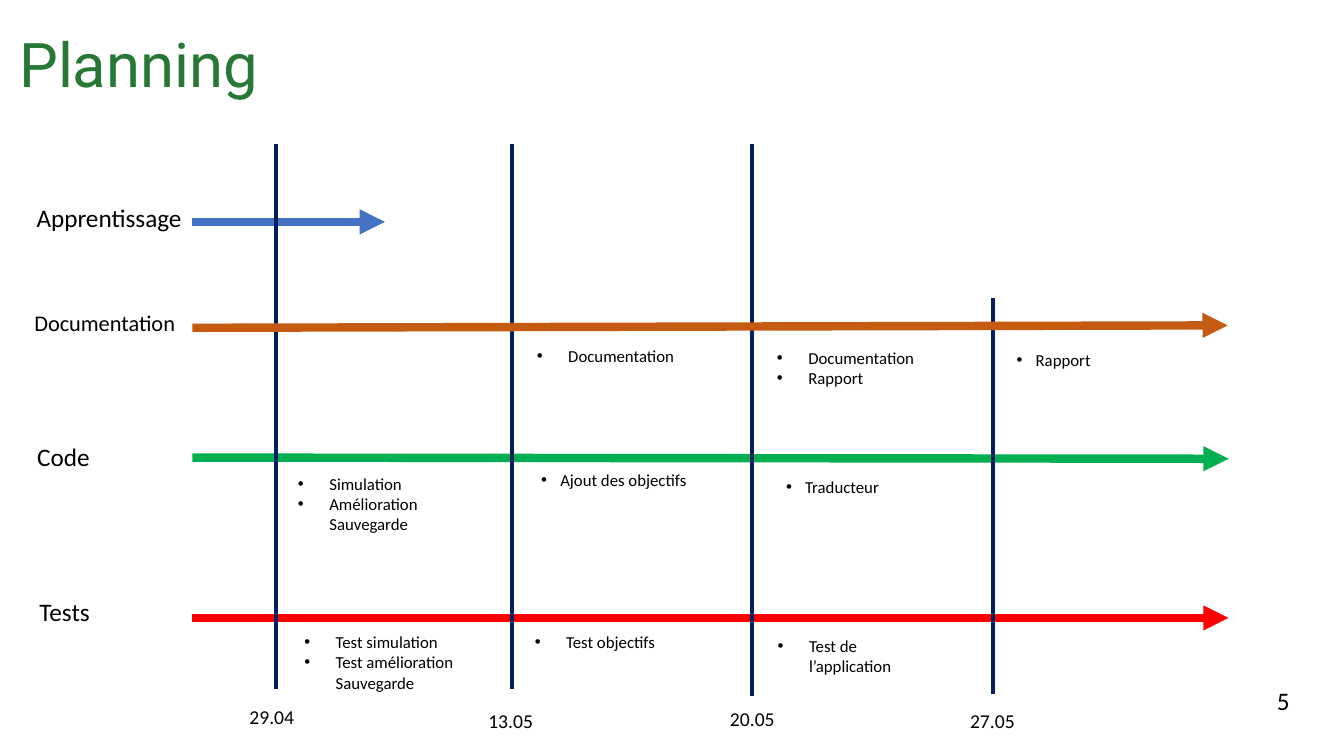
"""Build the project planning timeline slide."""
from lxml import etree
from pptx import Presentation
from pptx import util as u
from pptx.dml.color import RGBColor
from pptx.enum import shapes, text
from pptx.oxml import ns

BLACK = RGBColor(0, 0, 0)
TITLE_GREEN = RGBColor(0x26, 0x78, 0x34)
NAVY = RGBColor(0x00, 0x20, 0x60)
BLUE = RGBColor(0x44, 0x72, 0xC4)
ORANGE = RGBColor(0xC5, 0x5A, 0x11)
GREEN = RGBColor(0x00, 0xB0, 0x50)
RED = RGBColor(0xFF, 0, 0)
CENTER = text.PP_ALIGN.CENTER
LEFT = text.PP_ALIGN.LEFT


def write(p, content, size=12, font="Calibri", color=BLACK, align=LEFT, indent=0):
    """Fill a paragraph, with a bullet when an indent in cm is given."""
    if indent:
        pPr = p._p.get_or_add_pPr()
        pPr.set("marL", str(u.Cm(indent)))
        pPr.set("indent", str(-u.Cm(indent)))
        etree.SubElement(pPr, ns.qn("a:buFont"), typeface="Arial")
        etree.SubElement(pPr, ns.qn("a:buChar"), char="•")
    p.alignment = align
    r = p.add_run()
    r.text = content
    r.font.size = u.Pt(size)
    r.font.name = font
    r.font.color.rgb = color


class Timeline:
    """Hold the slide and draw the timeline's elements on it."""

    def __init__(self, prs):
        self.s = prs.slides.add_slide(prs.slide_layouts[5])

    def title(self, content):
        """Place and format the title placeholder."""
        sp = self.s.shapes.title
        sp.left, sp.top = u.Cm(0.23), u.Cm(-0.15)
        sp.width, sp.height = u.Cm(29.21), u.Cm(3.68)
        tf = sp.text_frame
        tf.auto_size = text.MSO_AUTO_SIZE.NONE
        tf.vertical_anchor = text.MSO_ANCHOR.MIDDLE
        p = tf.paragraphs[0]
        p.line_spacing = 0.9
        write(p, content, size=44, font="Roboto", color=TITLE_GREEN)

    def textbox(self, x, y, w, h, *lines, wrap=True, **style):
        """Add a text box with one paragraph per line."""
        sp = self.s.shapes.add_textbox(u.Cm(x), u.Cm(y), u.Cm(w), u.Cm(h))
        tf = sp.text_frame
        tf.word_wrap = wrap
        tf.auto_size = text.MSO_AUTO_SIZE.SHAPE_TO_FIT_TEXT
        for i, line in enumerate(lines):
            p = tf.add_paragraph() if i else tf.paragraphs[0]
            write(p, line, **style)

    def line(self, x1, y1, x2, y2, color, width, arrow=False):
        """Add a straight line, with an arrowhead at its end if asked."""
        c = self.s.shapes.add_connector(
            shapes.MSO_CONNECTOR.STRAIGHT, u.Cm(x1), u.Cm(y1), u.Cm(x2), u.Cm(y2))
        c.line.color.rgb = color
        c.line.width = u.Pt(width)
        if arrow:
            etree.SubElement(c.line._get_or_add_ln(), ns.qn("a:tailEnd"), type="triangle")
        etree.SubElement(c._element.spPr, ns.qn("a:effectLst"))

    def track(self, name, x, y, size, start_y, end_x, end_y, color):
        """Add a named activity with its arrow."""
        self.textbox(x, y, 4.22, 1, name, size=size, align=CENTER)
        self.line(4.85, start_y, end_x, end_y, color, 6, arrow=True)

    def milestone(self, date, x, top, bottom, label_x, label_y):
        """Add a vertical date line with its date below."""
        self.line(x, top, x, bottom, NAVY, 3)
        self.textbox(label_x, label_y, 4.6, 1.63, date, size=14, align=CENTER)


def main():
    """Draw the slide and save it."""
    prs = Presentation()
    prs.slide_width, prs.slide_height = u.Cm(33.87), u.Cm(19.05)
    s = Timeline(prs)
    s.title("Planning")
    s.textbox(31.93, 17.15, 0.84, 1.02, "5", size=18, wrap=False)

    s.track("Apprentissage", 0.64, 4.98, 18, 5.59, 9.7, 5.59, BLUE)
    s.track("Code", -0.51, 11, 18, 11.53, 30.96, 11.56, GREEN)
    s.track("Tests", -0.48, 14.91, 18, 15.57, 30.96, 15.57, RED)
    for milestone in (
        ("29.04", 6.96, 3.63, 17.37, 4.55, 17.65),
        ("13.05", 12.9, 3.63, 17.37, 10.57, 17.73),
        ("20.05", 18.95, 3.63, 17.53, 16.66, 17.7),
        ("27.05", 25.02, 7.52, 17.5, 22.71, 17.73),
    ):
        s.milestone(*milestone)
    s.track("Documentation", 0.53, 7.67, 16, 8.26, 30.94, 8.2, ORANGE)

    wide, narrow = 0.79, 0.48
    for x, y, w, h, indent, tasks in (
        (13.28, 8.59, 4.5, 1.8, wide, ["Documentation"]),
        (19.33, 8.64, 4.5, 2.31, wide, ["Documentation", "Rapport"]),
        (25.37, 8.69, 4.5, 1.8, narrow, ["Rapport"]),
        (7.26, 11.81, 4.5, 2.31, wide, ["Simulation", "Amélioration Sauvegarde"]),
        (13.39, 11.71, 4.5, 0.76, narrow, ["Ajout des objectifs"]),
        (19.56, 11.89, 4.5, 1.27, narrow, ["Traducteur"]),
        (7.42, 15.8, 4.5, 2.31, wide, ["Test simulation", "Test amélioration Sauvegarde"]),
        (13.23, 15.8, 3.89, 1.27, wide, ["Test objectifs"]),
        (19.35, 15.9, 3.89, 1.8, wide, ["Test de l’application"]),
    ):
        s.textbox(x, y, w, h, *tasks, indent=indent)

    prs.save("out.pptx")


if __name__ == "__main__":
    main()
